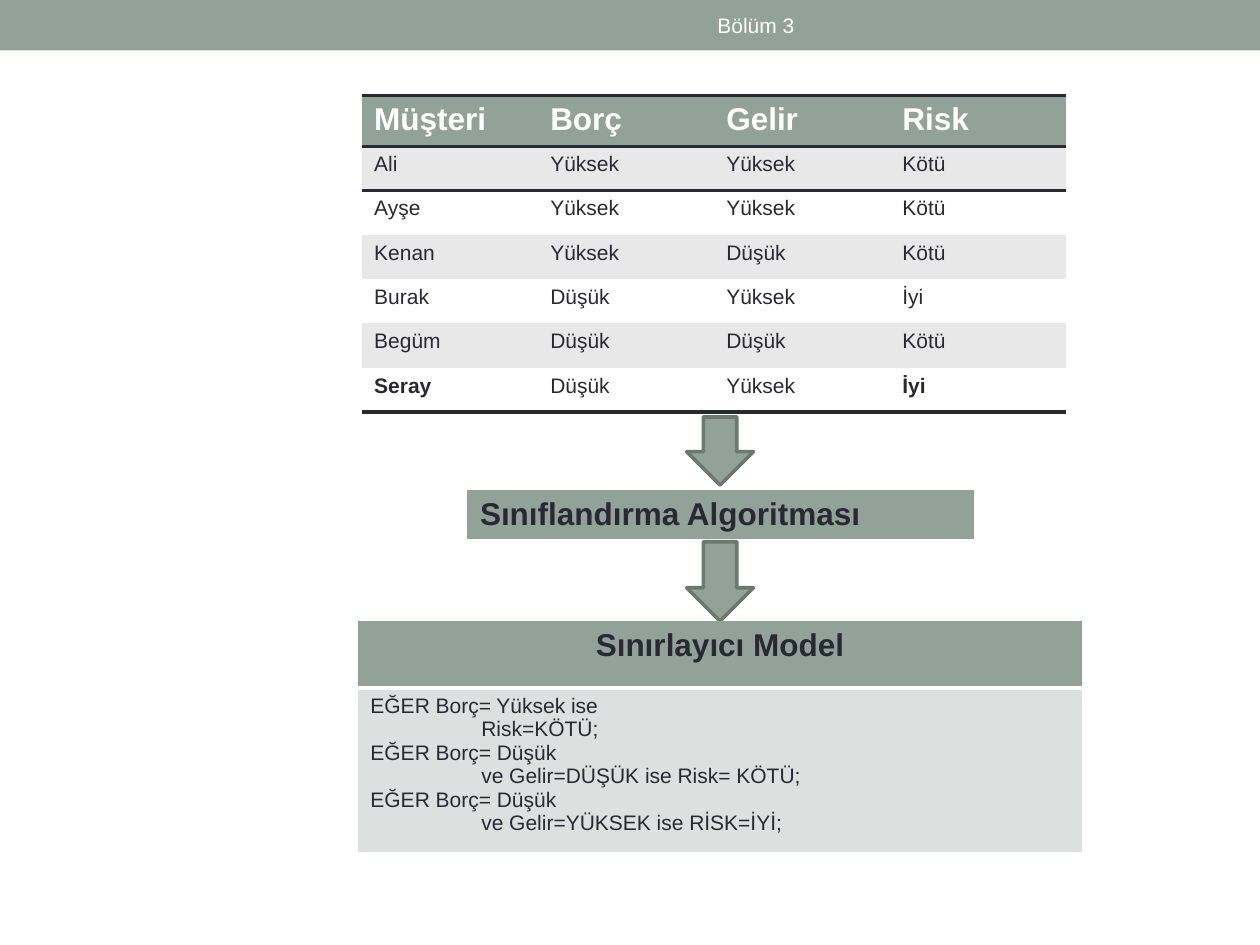
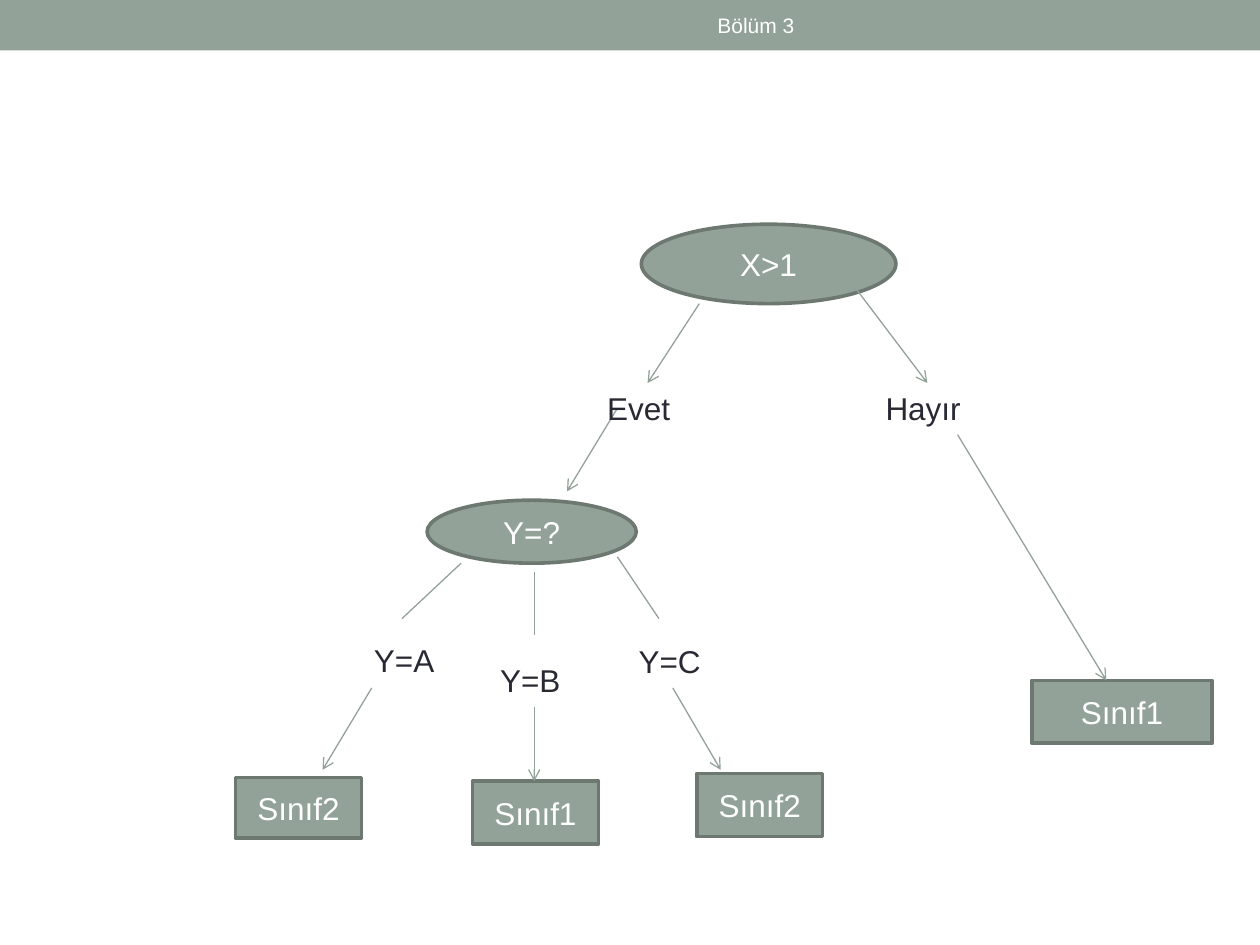
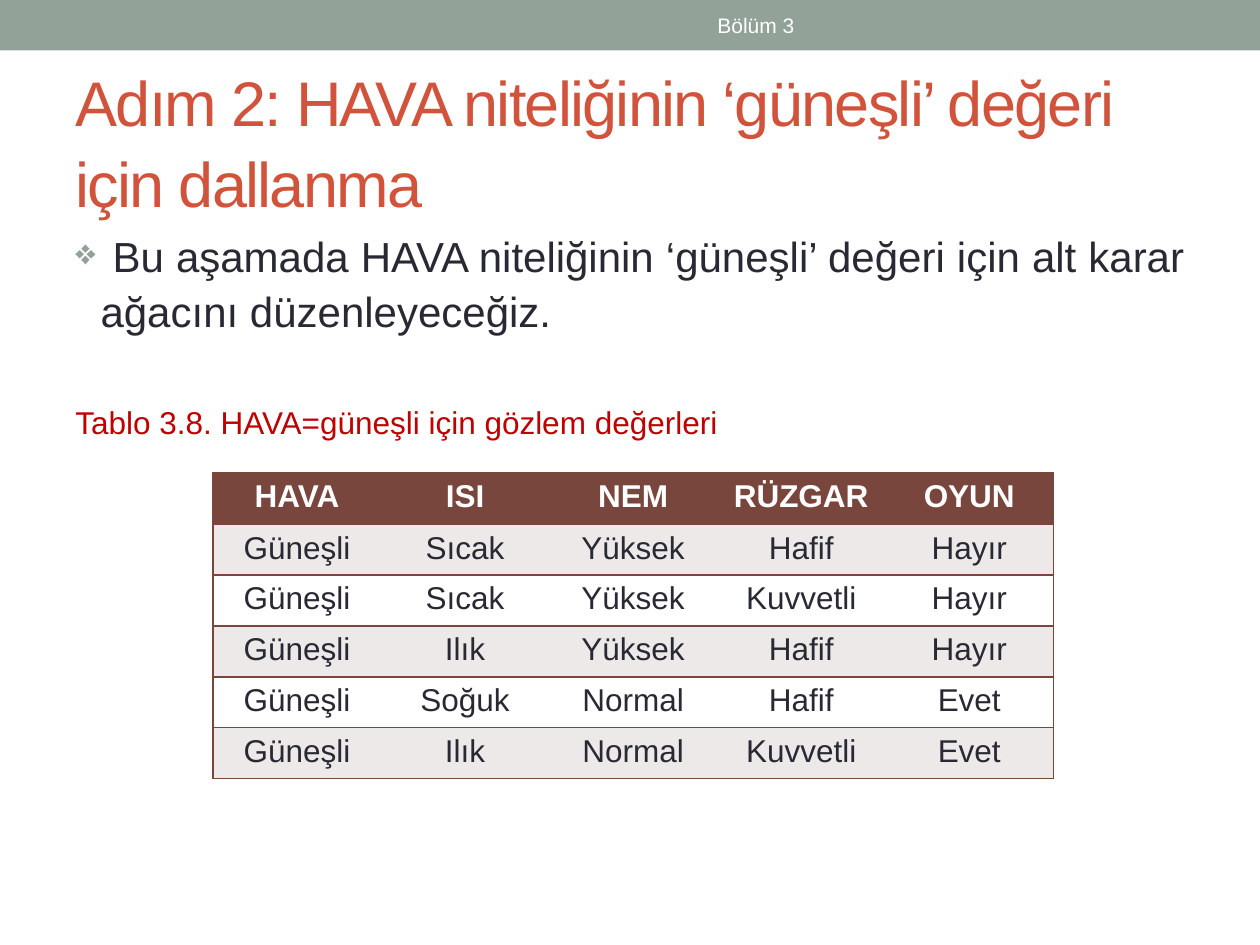
from dataclasses import dataclass
from typing import Any, NamedTuple

from lxml.etree import SubElement
from pptx import Presentation
from pptx.dml.color import RGBColor
from pptx.enum.shapes import MSO_CONNECTOR, MSO_SHAPE
from pptx.enum.text import MSO_ANCHOR, MSO_AUTO_SIZE, PP_ALIGN
from pptx.oxml.ns import qn
from pptx.util import Pt

EMU_PER_PX = 9144
PLAIN_TABLE_STYLE = "{2D5ABB26-0587-4C30-8999-92F81FD0307C}"


class TextStyle(NamedTuple):
    size: int
    color: str
    bold: bool = False


@dataclass(frozen=True)
class Theme:
    font: str = "Arial"
    sage: str = "93A299"
    sage_edge: str = "6D7871"
    sage_pale: str = "DCE0DE"
    ink: str = "292934"
    white: str = "FFFFFF"
    gray: str = "E8E8E8"
    brown: str = "79463D"
    brown_pale: str = "ECE9E8"
    title: TextStyle = TextStyle(36, "D2533C")
    lead: TextStyle = TextStyle(24, "292934")
    caption: TextStyle = TextStyle(18, "C00000")
    label: TextStyle = TextStyle(18, "292934")
    node: TextStyle = TextStyle(18, "FFFFFF")
    heading: TextStyle = TextStyle(18, "292934", True)
    column_head: TextStyle = TextStyle(18, "FFFFFF", True)
    small: TextStyle = TextStyle(12, "292934")
    chapter: TextStyle = TextStyle(12, "FFFFFF")
    edge_width: float = 2.08
    branch_width: float = 0.75


THEME = Theme()


class Box(NamedTuple):
    left: int
    top: int
    width: int
    height: int


class Node(NamedTuple):
    preset: MSO_SHAPE
    box: Box
    text: str = ""


class Label(NamedTuple):
    box: Box
    text: str


class Branch(NamedTuple):
    start: tuple[int, int]
    end: tuple[int, int]
    arrow: bool = True


class Border(NamedTuple):
    color: str
    width: int


@dataclass(frozen=True)
class Grid:
    box: Box
    header_height: int
    rows: list[list[str]]
    head_style: TextStyle
    body_style: TextStyle
    head_fill: str
    body_fills: tuple[str, str]
    head_align: PP_ALIGN = PP_ALIGN.LEFT
    body_align: PP_ALIGN = PP_ALIGN.LEFT
    top: Border | None = None
    below_head: Border | None = None
    between: Border | None = None
    bottom: Border | None = None
    sides: Border | None = None
    bold_cells: frozenset[str] = frozenset()


def emu(px: float) -> int:
    return round(px * EMU_PER_PX)


def place(box: Box) -> tuple[int, ...]:
    return tuple(emu(length) for length in box)


def apply(target: Any, values: dict[str, Any]) -> None:
    for name, value in values.items():
        setattr(target, name, value)


def write(paragraph: Any, text: str, style: TextStyle, **layout: Any) -> Any:
    run = paragraph.add_run()
    run.text = text
    apply(run.font, {"name": THEME.font, "size": Pt(style.size), "bold": style.bold})
    run.font.color.rgb = RGBColor.from_string(style.color)
    apply(paragraph, layout)
    return run


def paint(shape: Any, fill: str, edge: str | None = None) -> None:
    shape.shadow.inherit = False
    shape.fill.solid()
    shape.fill.fore_color.rgb = RGBColor.from_string(fill)
    if edge:
        shape.line.color.rgb = RGBColor.from_string(edge)
        shape.line.width = Pt(THEME.edge_width)
    else:
        shape.line.fill.background()


def add_text_area(slide: Any, box: Box, anchor: MSO_ANCHOR = MSO_ANCHOR.TOP) -> Any:
    frame = slide.shapes.add_textbox(*place(box)).text_frame
    apply(frame, {"word_wrap": True, "vertical_anchor": anchor})
    return frame


def add_label(slide: Any, label: Label) -> None:
    frame = add_text_area(slide, label.box)
    write(frame.paragraphs[0], label.text, THEME.label)


def add_node(slide: Any, node: Node) -> None:
    shape = slide.shapes.add_shape(node.preset, *place(node.box))
    paint(shape, THEME.sage, THEME.sage_edge)
    if node.text:
        shape.text_frame.vertical_anchor = MSO_ANCHOR.MIDDLE
        write(shape.text_frame.paragraphs[0], node.text, THEME.node,
              alignment=PP_ALIGN.CENTER)


def add_branch(slide: Any, branch: Branch) -> None:
    ends = (emu(length) for length in branch.start + branch.end)
    connector = slide.shapes.add_connector(MSO_CONNECTOR.STRAIGHT, *ends)
    connector.line.color.rgb = RGBColor.from_string(THEME.sage)
    connector.line.width = Pt(THEME.branch_width)
    properties = connector._element.spPr
    if branch.arrow:
        SubElement(properties.find(qn("a:ln")), qn("a:tailEnd"), type="arrow")
    SubElement(properties, qn("a:effectLst"))


def add_borders(cell: Any, borders: dict[str, Border | None]) -> None:
    properties = cell._tc.get_or_add_tcPr()
    for side, border in borders.items():
        if border:
            line = SubElement(properties, qn(f"a:ln{side}"), w=str(Pt(border.width)))
            fill = SubElement(line, qn("a:solidFill"))
            SubElement(fill, qn("a:srgbClr"), val=border.color)


def add_grid(slide: Any, grid: Grid) -> Any:
    row_count, column_count = len(grid.rows), len(grid.rows[0])
    table = slide.shapes.add_table(row_count, column_count, *place(grid.box)).table
    table._tbl.tblPr.find(qn("a:tableStyleId")).text = PLAIN_TABLE_STYLE
    table.horz_banding = False
    for column in table.columns:
        column.width = emu(grid.box.width / column_count)
    body_height = (grid.box.height - grid.header_height) / max(row_count - 1, 1)
    rules = [grid.top, grid.below_head, *[grid.between] * (row_count - 2)]
    rules = rules[:row_count] + [grid.bottom]
    for r, texts in enumerate(grid.rows):
        is_head = r == 0
        table.rows[r].height = emu(grid.header_height if is_head else body_height)
        for c, text in enumerate(texts):
            cell = table.cell(r, c)
            add_borders(cell, {
                "L": grid.sides if c == 0 else None,
                "R": grid.sides if c == column_count - 1 else None,
                "T": rules[r],
                "B": rules[r + 1],
            })
            cell.fill.solid()
            fill = grid.head_fill if is_head else grid.body_fills[(r - 1) % 2]
            cell.fill.fore_color.rgb = RGBColor.from_string(fill)
            style = grid.head_style if is_head else grid.body_style
            if (r == row_count - 1) and text in grid.bold_cells:
                style = style._replace(bold=True)
            if text:
                write(cell.text_frame.paragraphs[0], text, style,
                      alignment=grid.head_align if is_head else grid.body_align)
    return table


def start_slide(deck: Any, layout_index: int) -> Any:
    slide = deck.slides.add_slide(deck.slide_layouts[layout_index])
    band = slide.shapes.add_shape(MSO_SHAPE.RECTANGLE, *place(Box(0, 0, 1000, 40)))
    paint(band, THEME.sage)
    chapter = add_text_area(slide, Box(375, 2, 450, 36), MSO_ANCHOR.MIDDLE)
    write(chapter.paragraphs[0], "Bölüm 3", THEME.chapter, alignment=PP_ALIGN.CENTER)
    return slide


def build_classification(deck: Any) -> None:
    slide = start_slide(deck, 6)
    rule = Border(THEME.ink, 2)
    gap = Border(THEME.white, 3)
    add_grid(slide, Grid(
        Box(287, 76, 559, 249), 38,
        [
            ["Müşteri", "Borç", "Gelir", "Risk"],
            ["Ali", "Yüksek", "Yüksek", "Kötü"],
            ["Ayşe", "Yüksek", "Yüksek", "Kötü"],
            ["Kenan", "Yüksek", "Düşük", "Kötü"],
            ["Burak", "Düşük", "Yüksek", "İyi"],
            ["Begüm", "Düşük", "Düşük", "Kötü"],
            ["Seray", "Düşük", "Yüksek", "İyi"],
        ],
        THEME.column_head, THEME.small, THEME.sage, (THEME.gray, THEME.white),
        top=rule, below_head=rule, bottom=rule,
        bold_cells=frozenset({"Seray", "İyi"}),
    ))
    add_node(slide, Node(MSO_SHAPE.DOWN_ARROW, Box(545, 331, 53, 54)))
    add_grid(slide, Grid(
        Box(371, 389, 402, 41), 41, [["Sınıflandırma Algoritması"]],
        THEME.heading, THEME.small, THEME.sage, (THEME.sage, THEME.sage),
        bottom=gap,
    ))
    add_node(slide, Node(MSO_SHAPE.DOWN_ARROW, Box(545, 430, 53, 63)))
    model = add_grid(slide, Grid(
        Box(284, 493, 575, 183), 53, [["Sınırlayıcı Model"], [""]],
        THEME.heading, THEME.small, THEME.sage, (THEME.sage_pale, THEME.sage_pale),
        head_align=PP_ALIGN.CENTER, below_head=gap,
    ))
    decision_rules = [
        ("EĞER Borç= Yüksek ise", "Risk=KÖTÜ;"),
        ("EĞER Borç= Düşük", "ve Gelir=DÜŞÜK ise Risk= KÖTÜ;"),
        ("EĞER Borç= Düşük", "ve Gelir=YÜKSEK ise RİSK=İYİ;"),
    ]
    rules_frame = model.cell(1, 0).text_frame
    for i, (condition, outcome) in enumerate(decision_rules):
        first = rules_frame.add_paragraph() if i else rules_frame.paragraphs[0]
        write(first, condition, THEME.small)
        second = rules_frame.add_paragraph()
        second._p.get_or_add_pPr().set("marL", str(emu(88)))
        write(second, outcome, THEME.small)


def build_decision_tree(deck: Any) -> None:
    slide = start_slide(deck, 6)
    nodes = [
        Node(MSO_SHAPE.OVAL, Box(509, 178, 202, 63), "X>1"),
        Node(MSO_SHAPE.OVAL, Box(339, 397, 166, 50), "Y=?"),
        Node(MSO_SHAPE.RECTANGLE, Box(819, 540, 143, 50), "Sınıf1"),
        Node(MSO_SHAPE.RECTANGLE, Box(187, 617, 100, 48), "Sınıf2"),
        Node(MSO_SHAPE.RECTANGLE, Box(375, 620, 100, 50), "Sınıf1"),
        Node(MSO_SHAPE.RECTANGLE, Box(553, 614, 100, 50), "Sınıf2"),
    ]
    branches = [
        Branch((677, 226), (736, 304)),
        Branch((490, 324), (450, 390)),
        Branch((555, 241), (514, 304)),
        Branch((760, 345), (878, 540)),
        Branch((366, 447), (319, 491), False),
        Branch((424, 454), (424, 504), False),
        Branch((490, 442), (523, 491), False),
        Branch((295, 546), (256, 611)),
        Branch((424, 561), (424, 620)),
        Branch((534, 546), (572, 611)),
    ]
    labels = [
        Label(Box(472, 304, 83, 40), "Evet"),
        Label(Box(693, 304, 87, 40), "Hayır"),
        Label(Box(287, 504, 74, 40), "Y=A"),
        Label(Box(387, 520, 75, 40), "Y=B"),
        Label(Box(497, 505, 74, 40), "Y=C"),
    ]
    for node in nodes:
        add_node(slide, node)
    for branch in branches:
        add_branch(slide, branch)
    for label in labels:
        add_label(slide, label)


def add_diamond_bullet(paragraph: Any) -> None:
    properties = paragraph._p.get_or_add_pPr()
    properties.set("marL", str(emu(20)))
    properties.set("indent", str(emu(-20)))
    color = SubElement(properties, qn("a:buClr"))
    SubElement(color, qn("a:srgbClr"), val=THEME.sage)
    SubElement(properties, qn("a:buSzPct"), val="85000")
    SubElement(properties, qn("a:buChar"), char="❖")


def build_weather_step(deck: Any) -> None:
    slide = start_slide(deck, 5)
    title = slide.shapes.title
    apply(title, dict(zip(Box._fields, place(Box(50, 58, 900, 104)))))
    apply(title.text_frame, {
        "word_wrap": True,
        "auto_size": MSO_AUTO_SIZE.NONE,
        "vertical_anchor": MSO_ANCHOR.MIDDLE,
    })
    heading = write(title.text_frame.paragraphs[0],
                    "Adım 2: HAVA niteliğinin ‘güneşli’ değeri için dallanma",
                    THEME.title, alignment=PP_ALIGN.LEFT, line_spacing=1.08)
    heading.font._element.set("spc", "-100")

    body = add_text_area(slide, Box(50, 175, 900, 533))
    lead = body.paragraphs[0]
    add_diamond_bullet(lead)
    write(lead, " Bu aşamada HAVA niteliğinin ‘güneşli’ değeri için alt karar "
          "ağacını düzenleyeceğiz.", THEME.lead,
          alignment=PP_ALIGN.JUSTIFY, line_spacing=1.08)
    write(body.add_paragraph(), "Tablo 3.8. HAVA=güneşli için gözlem değerleri",
          THEME.caption, alignment=PP_ALIGN.JUSTIFY, line_spacing=1.08,
          space_before=Pt(37))

    rule = Border(THEME.brown, 1)
    add_grid(slide, Grid(
        Box(169, 375, 667, 243), 41,
        [
            ["HAVA", "ISI", "NEM", "RÜZGAR", "OYUN"],
            ["Güneşli", "Sıcak", "Yüksek", "Hafif", "Hayır"],
            ["Güneşli", "Sıcak", "Yüksek", "Kuvvetli", "Hayır"],
            ["Güneşli", "Ilık", "Yüksek", "Hafif", "Hayır"],
            ["Güneşli", "Soğuk", "Normal", "Hafif", "Evet"],
            ["Güneşli", "Ilık", "Normal", "Kuvvetli", "Evet"],
        ],
        THEME.column_head, THEME.label, THEME.brown,
        (THEME.brown_pale, THEME.white),
        head_align=PP_ALIGN.CENTER, body_align=PP_ALIGN.CENTER,
        top=rule, below_head=rule, between=rule, bottom=rule, sides=rule,
    ))


def main() -> None:
    deck = Presentation()
    apply(deck, {"slide_width": emu(1000), "slide_height": emu(750)})
    for build in (build_classification, build_decision_tree, build_weather_step):
        build(deck)
    deck.save("out.pptx")


if __name__ == "__main__":
    main()
